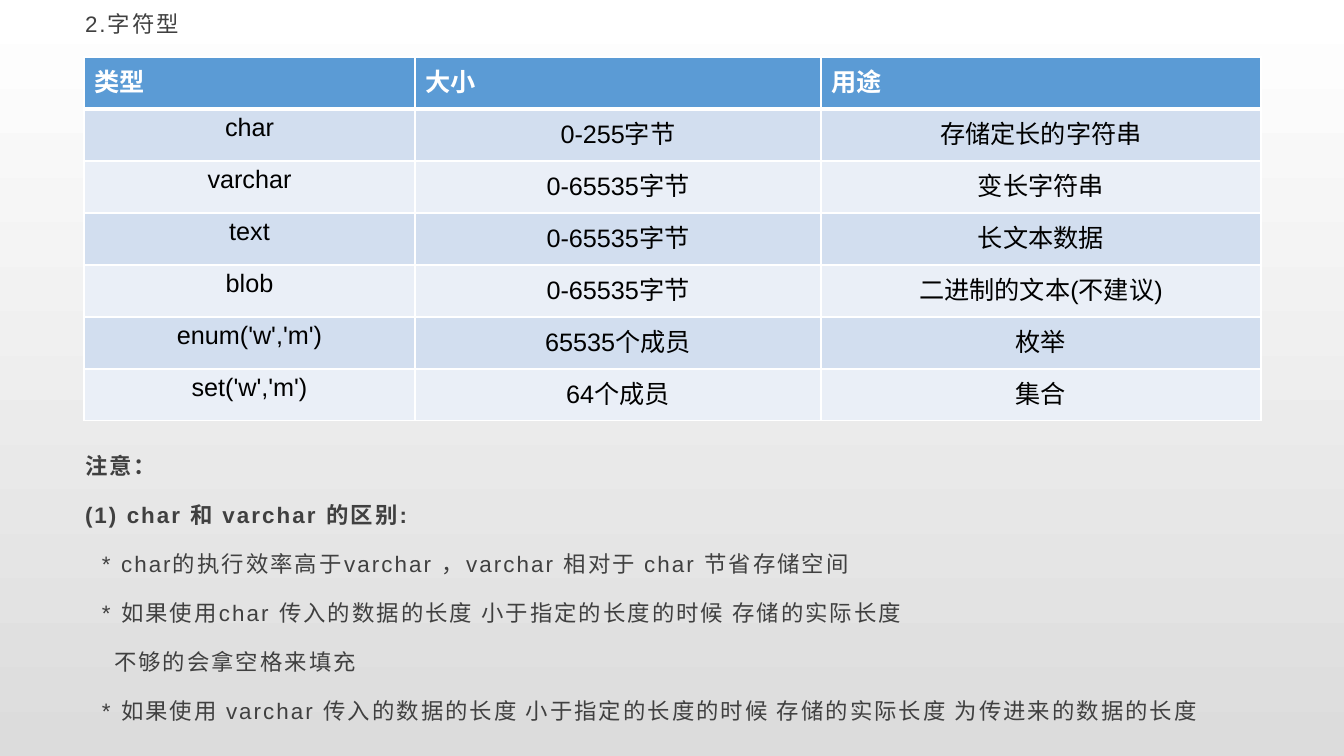
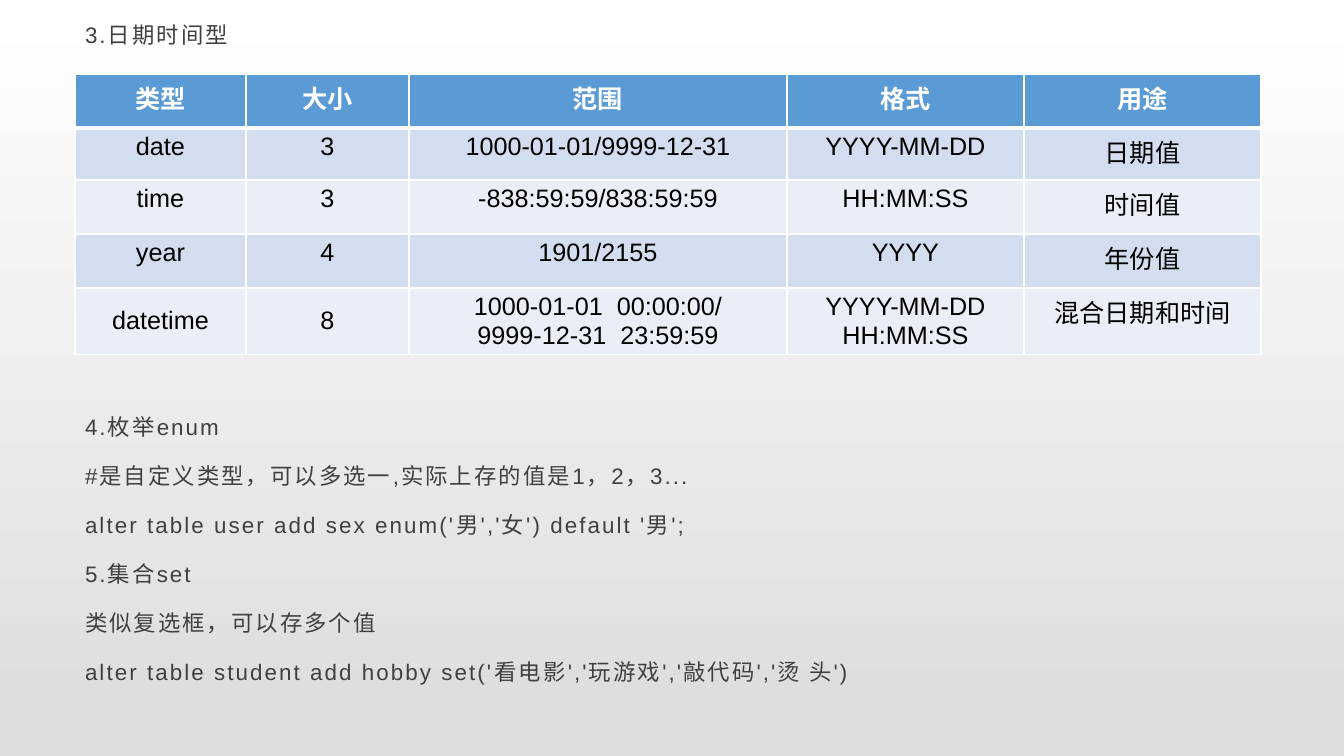
"""Build two slides on database column types, each with a table and notes."""
import lxml.etree
import pptx
import pptx.dml.color
import pptx.enum.text
import pptx.oxml.ns
import pptx.util

RGBColor = pptx.dml.color.RGBColor
Align = pptx.enum.text.PP_ALIGN
qn = pptx.oxml.ns.qn

WHITE = RGBColor(0xFF, 0xFF, 0xFF)
BLACK = RGBColor(0x00, 0x00, 0x00)
GRAY = RGBColor(0xDC, 0xDC, 0xDC)
TEXT = RGBColor(0x40, 0x40, 0x40)
HEADER = RGBColor(0x5B, 0x9B, 0xD5)
BANDS = (RGBColor(0xEA, 0xEF, 0xF7), RGBColor(0xD2, 0xDE, 0xEF))

FONT = "Arial"
WIDTH, HEIGHT = 1344, 756
TEXT_LEFT, TEXT_WIDTH = 74, 1196
LINE_HEIGHT, LINE_PITCH = 35, 49


def emu(pixels):
    return pptx.util.Emu(round(pixels * 12192000 / WIDTH))


class Deck:
    def __init__(self):
        self.presentation = pptx.Presentation()
        self.presentation.slide_width = emu(WIDTH)
        self.presentation.slide_height = emu(HEIGHT)
        fill = self.presentation.slide_master.background.fill
        fill.gradient()
        fill.gradient_angle = 270
        for stop, color in zip(fill.gradient_stops, (WHITE, GRAY)):
            stop.color.rgb = color
        self.slide = None

    def add_slide(self):
        layout = self.presentation.slide_layouts[1]
        self.slide = self.presentation.slides.add_slide(layout)

    def format_font(self, paragraph, size, color, bold=False):
        font = paragraph.font
        font.name = FONT
        font.size = pptx.util.Pt(size)
        font.bold = bold
        font.color.rgb = color
        properties = paragraph._p.get_or_add_pPr().get_or_add_defRPr()
        properties.set("lang", "zh-CN")
        return properties

    def fill_placeholder(self, shape, top, lines):
        shape.left, shape.top = emu(TEXT_LEFT), emu(top)
        shape.width = emu(TEXT_WIDTH)
        shape.height = emu(LINE_HEIGHT + LINE_PITCH * (len(lines) - 1))
        frame = shape.text_frame
        frame.word_wrap = True
        frame.auto_size = pptx.enum.text.MSO_AUTO_SIZE.NONE
        frame.vertical_anchor = pptx.enum.text.MSO_ANCHOR.TOP
        frame.margin_left, frame.margin_right = emu(11), emu(9)
        frame.margin_top = frame.margin_bottom = 0
        frame.text = "\n".join(text for text, _, _ in lines)
        for paragraph, (_, indent, bold) in zip(frame.paragraphs, lines):
            properties = paragraph._p.get_or_add_pPr()
            properties.set("marL", str(emu(indent)))
            properties.set("indent", "0")
            lxml.etree.SubElement(properties, qn("a:buNone"))
            paragraph.alignment = Align.LEFT
            paragraph.line_spacing = 1.3
            paragraph.space_before = pptx.util.Pt(0)
            paragraph.space_after = pptx.util.Pt(10)
            self.format_font(paragraph, 16, TEXT, bold).set("spc", "150")

    def title(self, top, text):
        self.fill_placeholder(self.slide.shapes.title, top, [(text, 0, False)])

    def notes(self, top, lines):
        self.fill_placeholder(self.slide.placeholders[1], top, lines)

    def border(self, cell, top, bottom):
        properties = cell._tc.get_or_add_tcPr()
        sides = (("L", 1), ("R", 1), ("T", top), ("B", bottom))
        for index, (side, points) in enumerate(sides):
            line = properties.makeelement(qn("a:ln" + side), {"w": str(pptx.util.Pt(points))})
            fill = lxml.etree.SubElement(line, qn("a:solidFill"))
            lxml.etree.SubElement(fill, qn("a:srgbClr"), val=str(WHITE))
            properties.insert(index, line)

    def table(self, left, top, widths, heights, rows, header_align=Align.CENTER, loose=()):
        table = self.slide.shapes.add_table(
            len(rows), len(widths), emu(left), emu(top),
            emu(sum(widths)), emu(sum(heights))).table
        for column, width in zip(table.columns, widths):
            column.width = emu(width)
        for row, height in zip(table.rows, heights):
            row.height = emu(height)
        for row_index, texts in enumerate(rows):
            header = row_index == 0
            for column_index, text in enumerate(texts):
                cell = table.cell(row_index, column_index)
                cell.text = text
                cell.fill.solid()
                cell.fill.fore_color.rgb = HEADER if header else BANDS[row_index % 2]
                self.border(cell, 3 if row_index == 1 else 1, 3 if header else 1)
                for paragraph in cell.text_frame.paragraphs:
                    paragraph.alignment = header_align if header else Align.CENTER
                    if text in loose:
                        paragraph.line_spacing = 1.5
                    self.format_font(paragraph, 18, WHITE if header else BLACK, header)


deck = Deck()

deck.add_slide()
deck.title(2, "2.字符型")
deck.notes(444, [
    ("注意：", 0, True),
    ("(1) char 和 varchar 的区别:", 0, True),
    ("* char的执\u2f8f效率\u2fbc于varchar ，varchar 相对于 char 节省存储空间", 17, False),
    ("* 如果使\u2f64char 传\u2f0a的数据的\u2ed3度 \u2f29于指定的\u2ed3度的时候 存储的实际\u2ed3度", 17, False),
    ("不够的会拿空格来填充", 29, False),
    ("* 如果使\u2f64 varchar 传\u2f0a的数据的\u2ed3度 \u2f29于指定的\u2ed3度的时候 "
     "存储的实际\u2ed3度 为传进来的数据的\u2ed3度", 17, False),
])
deck.table(84, 57, (331, 406, 440), [52] * 7, [
    ("类型", "大小", "用途"),
    ("char", "0-255字节", "存储定长的字符串"),
    ("varchar", "0-65535字节", "变长字符串"),
    ("text", "0-65535字节", "长文本数据"),
    ("blob", "0-65535字节", "二进制的文本(不建议)"),
    ("enum('w','m')", "65535个成员", "枚举"),
    ("set('w','m')", "64个成员", "集合"),
], header_align=Align.LEFT)

deck.add_slide()
deck.title(13, "3.\u2f47期时间型")
deck.notes(405, [(text, 0, False) for text in (
    "4.枚举enum",
    "#是\u2f83定义类型，可以多选\u2f00,实际上存的值是1，2，3...",
    "alter table user add sex enum('男','\u2f25') default '男';",
    "5.集合set",
    "类似复选框，可以存多个值",
    "alter table student add hobby set('看电影','玩游戏','敲代码','烫 头')",
)])
deck.table(75, 74, (171, 163, 378, 237, 237), (54, 52, 54, 54, 54), [
    ("类型", "大小", "范围", "格式", "用途"),
    ("date", "3", "1000-01-01/9999-12-31", "YYYY-MM-DD", "日期值"),
    ("time", "3", "-838:59:59/838:59:59", "HH:MM:SS", "时间值"),
    ("year", "4", "1901/2155", "YYYY", "年份值"),
    ("datetime", "8", "1000-01-01  00:00:00/\n9999-12-31  23:59:59",
     "YYYY-MM-DD\nHH:MM:SS", "混合日期和时间"),
], loose=("datetime", "8"))

deck.presentation.save("out.pptx")
